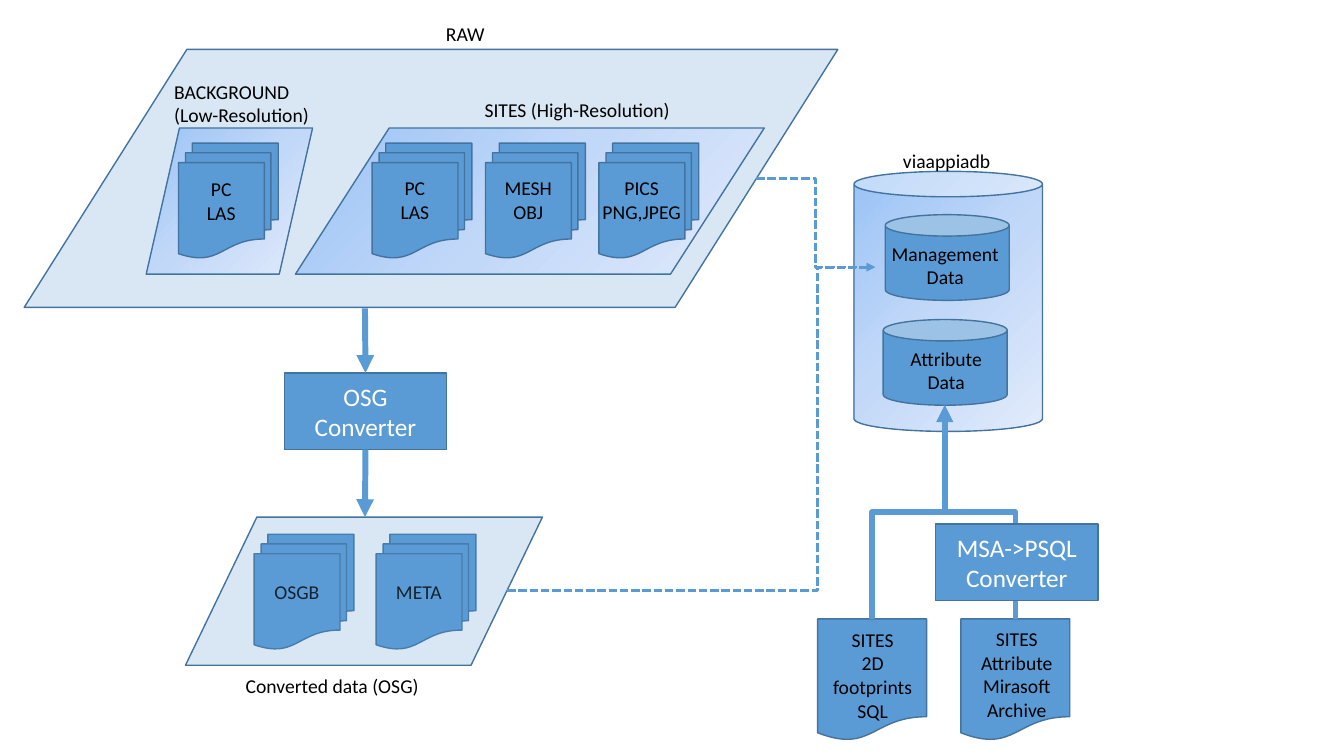
from copy import deepcopy

from lxml import etree
from pptx import Presentation
from pptx.dml.color import RGBColor
from pptx.enum.dml import MSO_LINE
from pptx.enum.shapes import MSO_CONNECTOR, MSO_SHAPE
from pptx.enum.text import MSO_ANCHOR, MSO_AUTO_SIZE, PP_ALIGN
from pptx.oxml.ns import qn
from pptx.util import Inches, Pt

BLUE = RGBColor(0x5B, 0x9B, 0xD5)
OUTLINE = RGBColor(0x43, 0x73, 0x9E)
BLACK = RGBColor(0x00, 0x00, 0x00)
WHITE = RGBColor(0xFF, 0xFF, 0xFF)
GRADIENT = [
    (0, RGBColor(0x9A, 0xC3, 0xF5)),
    (0.5, RGBColor(0xC2, 0xD8, 0xF8)),
    (1, RGBColor(0xE1, 0xEB, 0xFB)),
]
FONT = "Calibri"

STRAIGHT = MSO_CONNECTOR.STRAIGHT
ELBOW = MSO_CONNECTOR.ELBOW
DASH = MSO_LINE.SQUARE_DOT
CAN = MSO_SHAPE.CAN
DATA = MSO_SHAPE.FLOWCHART_DATA
DOCUMENT = MSO_SHAPE.FLOWCHART_DOCUMENT
MULTIDOCUMENT = MSO_SHAPE.FLOWCHART_MULTIDOCUMENT
PROCESS = MSO_SHAPE.FLOWCHART_PROCESS
MIDDLE = MSO_ANCHOR.MIDDLE
GROW = MSO_AUTO_SIZE.SHAPE_TO_FIT_TEXT
LEFT = PP_ALIGN.LEFT
CENTER = PP_ALIGN.CENTER


def add_box(page, kind, left, top, width, height):
    """Add a blue outlined preset shape."""
    box = page.shapes.add_shape(
        kind, Inches(left), Inches(top), Inches(width), Inches(height))
    box.shadow.inherit = False
    box.fill.solid()
    box.fill.fore_color.rgb = BLUE
    box.line.color.rgb = OUTLINE
    box.line.width = Pt(1)
    return box


def make_translucent(box):
    """Let the fill of a box show at 23 percent."""
    color = box._element.spPr.find(qn("a:solidFill"))[0]
    etree.SubElement(color, qn("a:alpha")).set("val", "23000")


def make_gradient(box):
    """Give a box the diagonal light blue gradient."""
    box.fill.gradient()
    stops = box._element.spPr.find(".//" + qn("a:gsLst"))
    stops.append(deepcopy(stops[0]))
    for stop, (position, color) in zip(box.fill.gradient_stops, GRADIENT):
        stop.position = position
        stop.color.rgb = color
    box.fill.gradient_angle = 315


def write_text(box, lines, size, color, align=CENTER):
    """Write each line as a paragraph of one run."""
    frame = box.text_frame
    frame.word_wrap = True
    for index, line in enumerate(lines):
        para = frame.add_paragraph() if index else frame.paragraphs[0]
        para.alignment = align
        span = para.add_run()
        span.text = line
        span.font.name = FONT
        span.font.size = Pt(size)
        span.font.color.rgb = color


def add_label(page, left, top, width, height, *lines, align=CENTER):
    """Add a black text box."""
    box = page.shapes.add_textbox(
        Inches(left), Inches(top), Inches(width), Inches(height))
    write_text(box, lines, 14, BLACK, align)
    box.text_frame.auto_size = GROW


def add_files(page, left, top, text_top, *lines):
    """Add a stack of documents with its label."""
    add_box(page, MULTIDOCUMENT, left, top, 0.99, 1.14)
    add_label(page, left - 0.19, text_top, 1.23, 0.34 if len(lines) == 1 else 0.57, *lines)


def add_database(page, left, top, text_left, text_width, text):
    """Add a small cylinder with its label."""
    add_box(page, CAN, left, top, 1.23, 0.85)
    add_label(page, text_left, top + 0.22, text_width, 0.57, text)


def add_converter(page, left, top, *lines):
    """Add a process box with large white text."""
    box = add_box(page, PROCESS, left, top, 1.61, 0.76)
    box.text_frame.vertical_anchor = MIDDLE
    write_text(box, lines, 18, WHITE)
    return box


def add_arrow(page, kind, start, end, width):
    """Add a blue connector with a triangle at its end."""
    arrow = page.shapes.add_connector(kind, *map(Inches, start + end))
    arrow.line.color.rgb = BLUE
    arrow.line.width = Pt(width)
    etree.SubElement(arrow.line._get_or_add_ln(), qn("a:tailEnd")).set("type", "triangle")
    etree.SubElement(arrow._element.spPr, qn("a:effectLst"))
    return arrow


def add_dashed_elbow(page, start, end, bend):
    """Add a dashed arrow that turns at a share of its width."""
    arrow = add_arrow(page, ELBOW, start, end, 2)
    arrow.line.dash_style = DASH
    guides = arrow._element.spPr.find(qn("a:prstGeom")).get_or_add_avLst()
    guide = etree.SubElement(guides, qn("a:gd"))
    guide.set("name", "adj1")
    guide.set("fmla", f"val {round(bend * 100000)}")


def add_rising_elbow(page, start, end):
    """Add an elbow arrow that leaves upwards and turns halfway."""
    middle_x, middle_y = (start[0] + end[0]) / 2, (start[1] + end[1]) / 2
    half_rise, half_run = (start[1] - end[1]) / 2, (end[0] - start[0]) / 2
    arrow = add_arrow(
        page, ELBOW,
        (middle_x - half_rise, middle_y - half_run),
        (middle_x + half_rise, middle_y + half_run), 4)
    arrow._element.spPr.find(qn("a:xfrm")).set("rot", "16200000")


def draw_raw_data(page):
    """Draw the raw data with its background and site files."""
    make_gradient(add_box(page, DATA, 1.45, 1.27, 1.65, 1.45))
    add_label(page, 1.63, 0.74, 1.56, 0.57, "BACKGROUND (Low-Resolution)", align=LEFT)
    add_files(page, 1.77, 1.42, 1.71, "PC", "LAS")
    make_gradient(add_box(page, DATA, 2.93, 1.27, 4.65, 1.45))
    add_label(page, 3.87, 0.92, 3.71, 0.34, "SITES (High-Resolution)")
    sites = [("PC", "LAS"), ("MESH", "OBJ"), ("PICS", "PNG,JPEG")]
    for index, lines in enumerate(sites):
        add_files(page, 3.69 + 1.125 * index, 1.42, 1.7, *lines)
    add_label(page, 2.76, 0.17, 3.71, 0.34, "RAW")


def draw_conversion(page):
    """Draw the converter and the converted data."""
    converter = add_converter(page, 2.82, 3.7, "OSG Converter")
    add_arrow(page, STRAIGHT, (3.62, 3.06), (3.62, 3.7), 4.25).end_connect(converter, 0)
    add_files(page, 2.52, 5.3, 5.7, "OSGB")
    add_files(page, 3.73, 5.3, 5.7, "META")
    make_translucent(add_box(page, DATA, 1.84, 5.13, 3.54, 1.47))
    add_arrow(page, STRAIGHT, (3.62, 4.46), (3.62, 5.13), 4.25).begin_connect(converter, 2)
    add_label(page, 1.44, 6.64, 3.71, 0.34, "Converted data (OSG)")


def draw_database(page):
    """Draw the database with its two parts."""
    store = add_box(page, CAN, 8.47, 1.7, 1.87, 2.58)
    store.adjustments[0] = 0.135
    make_gradient(store)
    add_database(page, 8.76, 3.17, 8.77, 1.23, "Attribute Data")
    add_database(page, 8.78, 2.13, 8.68, 1.39, "Management Data")
    add_label(page, 8.77, 1.43, 1.24, 0.34, "viaappiadb")


def draw_sources(page):
    """Draw the attribute sources and the arrows into the database."""
    for left in (8.11, 9.53):
        add_box(page, DOCUMENT, left, 6.14, 1.08, 1.21)
    add_label(page, 8.04, 6.18, 1.23, 1.04, "SITES", "2D footprints", "SQL")
    add_dashed_elbow(page, (5.03, 5.86), (8.68, 2.65), 0.844)
    add_dashed_elbow(page, (7.5, 1.77), (8.68, 2.65), 0.5)
    for start_x in (8.65, 10.07):
        add_rising_elbow(page, (start_x, 6.14), (9.37, 4.02))
    add_converter(page, 9.28, 5.2, "MSA->PSQL", "Converter")
    add_label(page, 9.47, 6.17, 1.23, 1.04, "SITES", "Attribute Mirasoft Archive")


def main():
    """Build the data flow slide and save it."""
    deck = Presentation()
    deck.slide_width = Inches(13.33)
    deck.slide_height = Inches(7.5)
    page = deck.slides.add_slide(deck.slide_layouts[6])
    make_translucent(add_box(page, DATA, 0.24, 0.49, 8.07, 2.56))
    draw_database(page)
    draw_raw_data(page)
    draw_conversion(page)
    draw_sources(page)
    deck.save("out.pptx")


if __name__ == "__main__":
    main()
